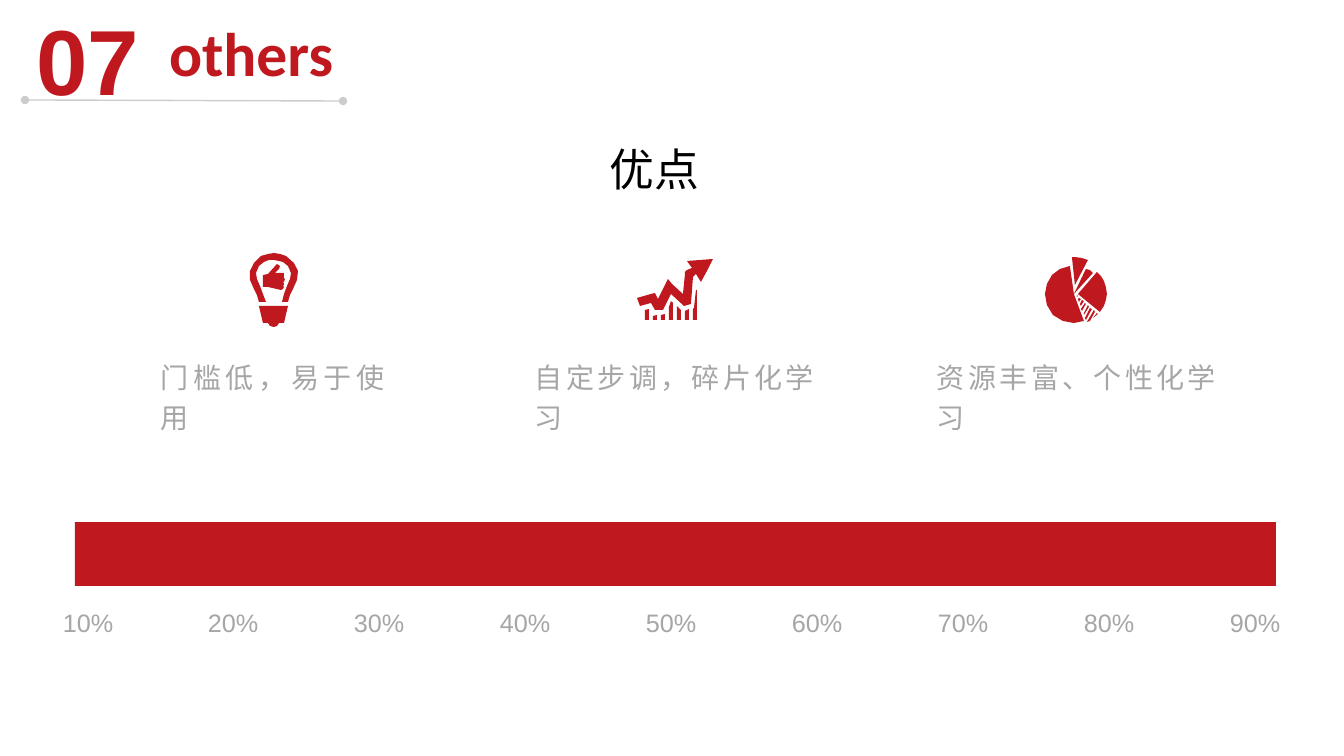
from itertools import pairwise

from lxml.etree import SubElement
from pptx import Presentation
from pptx.dml.color import RGBColor
from pptx.enum.shapes import MSO_CONNECTOR, MSO_SHAPE
from pptx.enum.text import PP_ALIGN as ALIGN
from pptx.oxml.ns import qn
from pptx.util import Pt

PX = 914400 / 100.8
COLORS = {"red": "BF181F", "grey": "A6A6A6", "rule": "CCCCCC", "black": "000000"}

BULB = [
    [(11, 53), (40, 53), (36, 70), (31, 70), (29, 73), (26, 74), (22, 73), (20, 70), (15, 70)],
    [(36, 20), (36, 25), (37, 26), (36, 29), (35, 29), (36, 30), (36, 32), (35, 33), (36, 34),
     (35, 36), (33, 37), (20, 34), (15, 34), (15, 22), (20, 21), (29, 11), (32, 13), (31, 16),
     (27, 20)],
    [(11, 49), (18, 49), (15, 41), (12, 33), (9, 26), (8, 20), (11, 13), (16, 9), (21, 7),
     (26, 7), (31, 8), (35, 9), (40, 13), (43, 20), (42, 26), (39, 33), (36, 41), (34, 49),
     (40, 49), (42, 42), (45, 36), (49, 27), (50, 18), (46, 10), (38, 3), (32, 1), (26, 0),
     (20, 1), (13, 3), (6, 10), (2, 18), (2, 27), (6, 36), (9, 42)],
]
GROWTH = [
    [(76, 0), (70, 12), (64, 23), (59, 15), (56, 18), (54, 45), (47, 47), (34, 35), (26, 51),
     (18, 51), (14, 44), (3, 47), (0, 39), (14, 35), (18, 34), (19, 36), (21, 40), (28, 26),
     (31, 20), (35, 25), (46, 35), (48, 15), (48, 13), (50, 11), (55, 9), (50, 2), (63, 1)],
    [(8, 61), (12, 61), (12, 50), (8, 51)],
    [(16, 61), (20, 61), (20, 56), (16, 57)],
    [(24, 61), (28, 61), (28, 55), (24, 56)],
    [(32, 61), (36, 61), (36, 44), (34, 42), (32, 48)],
    [(40, 61), (44, 61), (44, 51), (40, 47)],
    [(48, 61), (52, 61), (52, 50), (48, 52)],
    [(56, 61), (60, 61), (60, 31), (59, 31), (57, 49), (56, 50)],
]
PIE = [
    [(52, 15), (56, 19), (59, 24), (61, 30), (62, 37), (61, 43), (59, 49), (55, 55), (33, 37)],
    [(53, 57), (48, 61), (52, 56)],
    [(45, 64), (50, 55), (49, 53), (42, 65)],
    [(41, 63), (47, 52), (45, 51), (40, 61)],
    [(39, 58), (44, 50), (43, 48), (39, 56)],
    [(37, 54), (41, 47), (40, 46), (36, 52)],
    [(36, 49), (39, 44), (37, 43), (35, 47)],
    [(34, 45), (36, 42), (34, 41), (33, 42)],
    [(32, 40), (32, 38), (33, 39)],
    [(41, 12), (29, 37), (25, 9), (15, 12), (7, 18), (2, 27), (0, 37), (2, 48), (8, 58),
     (18, 64), (29, 66), (34, 65), (39, 64), (29, 37), (48, 16), (45, 13)],
    [(30, 0), (27, 0), (30, 28), (43, 3), (37, 1)],
]
ADVANTAGES = [
    ("门槛低，易于使用", (151, 349, 243, 50), BULB, (248, 253)),
    ("自定步调，碎片化学习", (525, 349, 299, 50), GROWTH, (637, 259)),
    ("资源丰富、个性化学习", (927, 349, 299, 50), PIE, (1045, 257)),
]
SEGMENT_EDGES = [75, 320, 719, 1276]
SEGMENT_TOP, SEGMENT_HEIGHT = 522, 64
PERCENTAGES = [f"{n}%" for n in range(10, 100, 10)]
FIRST_LEFT, LAST_LEFT = 53, 1220


def px(*lengths):
    return [round(length * PX) for length in lengths]


def add_text(slide, text, box, *, size, color, font="Arial", bold=False,
             align=ALIGN.LEFT, spacing=None, inset=True, wrap=True):
    frame = slide.shapes.add_textbox(*px(*box)).text_frame
    frame.word_wrap = wrap
    if not inset:
        frame.margin_left = frame.margin_right = 0
        frame.margin_top = frame.margin_bottom = 0
    paragraph = frame.paragraphs[0]
    paragraph.alignment = align
    paragraph.line_spacing = spacing
    run = paragraph.add_run()
    run.text = text
    run.font.name, run.font.size, run.font.bold = font, Pt(size), bold
    run.font.color.rgb = RGBColor.from_string(COLORS[color])


def paint_red(shape):
    shape.shadow.inherit = False
    shape.fill.solid()
    shape.fill.fore_color.rgb = RGBColor.from_string(COLORS["red"])
    shape.line.fill.background()


def add_icon(slide, contours, origin):
    first, *others = contours
    builder = slide.shapes.build_freeform(*first[0], scale=PX)
    builder.add_line_segments(first[1:], close=True)
    for contour in others:
        builder.move_to(*contour[0])
        builder.add_line_segments(contour[1:], close=True)
    paint_red(builder.convert_to_shape(*px(*origin)))


def add_heading_rule(slide):
    rule = slide.shapes.add_connector(MSO_CONNECTOR.STRAIGHT, *px(25, 100, 343, 101))
    rule.line.color.rgb = RGBColor.from_string(COLORS["rule"])
    rule.line.width = Pt(1)
    outline = rule.line._get_or_add_ln()
    for end in ("a:headEnd", "a:tailEnd"):
        SubElement(outline, qn(end), type="oval")
    SubElement(rule._element.spPr, qn("a:effectLst"))


def main():
    deck = Presentation()
    deck.slide_width, deck.slide_height = px(1344, 756)
    slide = deck.slides.add_slide(deck.slide_layouts[6])

    for i, percentage in enumerate(PERCENTAGES):
        left = FIRST_LEFT + (LAST_LEFT - FIRST_LEFT) * i // (len(PERCENTAGES) - 1)
        add_text(slide, percentage, (left, 596, 72, 43), size=18, color="grey",
                 align=ALIGN.JUSTIFY, spacing=1.2, wrap=False)

    for left, right in pairwise(SEGMENT_EDGES):
        box = px(left, SEGMENT_TOP, right - left, SEGMENT_HEIGHT)
        paint_red(slide.shapes.add_shape(MSO_SHAPE.RECTANGLE, *box))

    for caption, box, icon, origin in ADVANTAGES:
        add_icon(slide, icon, origin)
        add_text(slide, caption, box, size=20, color="grey",
                 align=ALIGN.JUSTIFY, spacing=1.2)

    add_text(slide, "07", (0, 3, 175, 112), size=66, color="red", bold=True,
             align=ALIGN.CENTER, inset=False)
    add_heading_rule(slide)
    add_text(slide, "others", (169, 15, 473, 224), size=44, color="red",
             font="Calibri", bold=True, inset=False)
    add_text(slide, "优点", (600, 137, 145, 65), size=32, color="black")

    deck.save("out.pptx")


if __name__ == "__main__":
    main()
